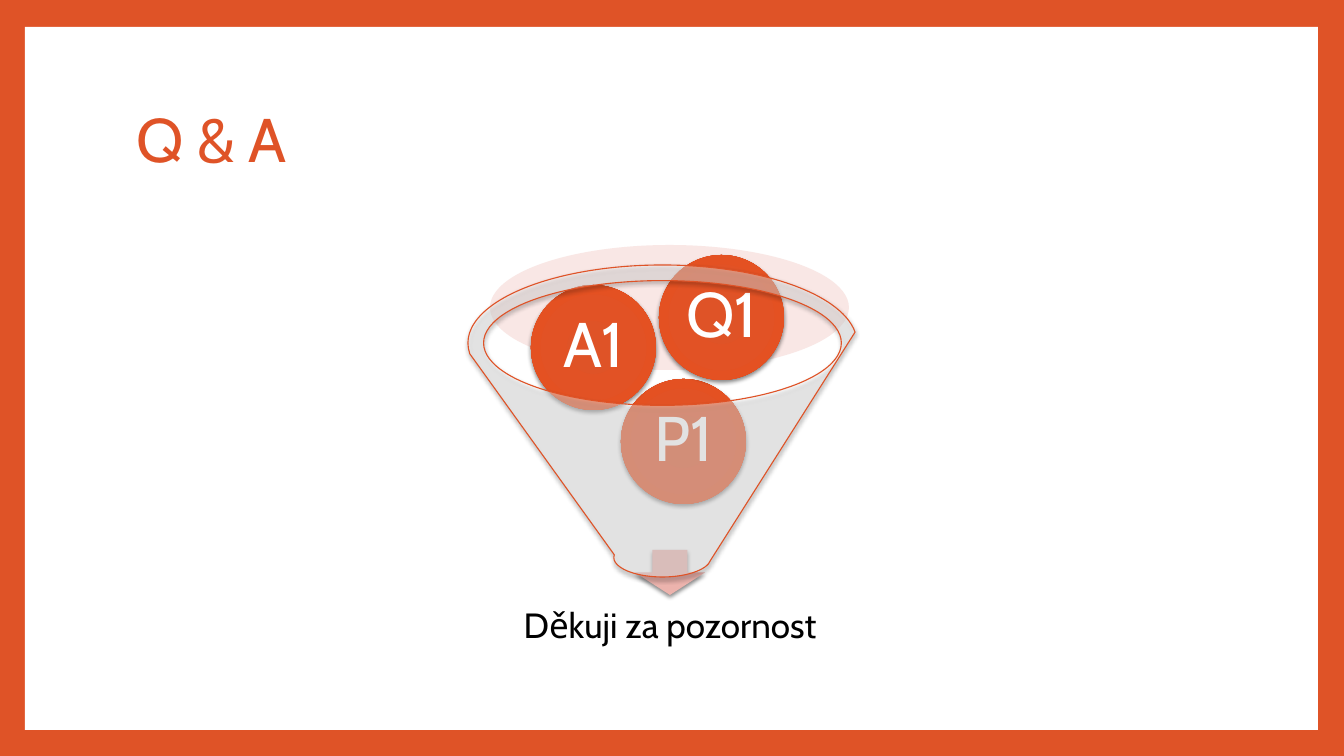
"""Builds the closing Q & A slide with a funnel diagram."""
from lxml import etree
from pptx import Presentation
from pptx.dml.color import RGBColor
from pptx.enum.shapes import MSO_SHAPE
from pptx.enum.text import MSO_ANCHOR, PP_ALIGN
from pptx.oxml import parse_xml
from pptx.oxml.ns import nsdecls, qn
from pptx.util import Emu, Pt

RECTANGLE, ELLIPSE = MSO_SHAPE.RECTANGLE, MSO_SHAPE.OVAL
ARROW, FUNNEL = MSO_SHAPE.DOWN_ARROW, MSO_SHAPE.FUNNEL
MIDDLE, LEFT, CENTER = MSO_ANCHOR.MIDDLE, PP_ALIGN.LEFT, PP_ALIGN.CENTER

TITLE = "Q & A"
CAPTION = "Děkuji za pozornost"
BALLS = [("P1", 621, 379), ("A1", 531, 285), ("Q1", 659, 255)]
BALL_SIZE = 125

COLORS = {
    "accent": "DF5327", "ball_mid": "E45122", "ball_edge": "DB4313",
    "rim": "F0C3BE", "arrow": "ECB3AD", "white": "FFFFFF", "black": "000000",
}
BALL_STOPS = [(0, "accent"), (90, "ball_mid"), (100, "ball_edge")]
FONT = "Cabin"
PIXEL = 914400 / 100.8


def px(*values):
    return [Emu(round(value * PIXEL)) for value in values]


def rgb(name):
    return RGBColor.from_string(COLORS[name])


def write(shape, text, size, color, align=CENTER, inset=0):
    frame = shape.text_frame
    frame.text = text
    frame.word_wrap = True
    frame.vertical_anchor = MIDDLE
    if inset:
        margin = px(inset)[0]
        frame.margin_left = frame.margin_right = margin
        frame.margin_top = frame.margin_bottom = margin
    para = frame.paragraphs[0]
    para.alignment = align
    para.line_spacing = 0.9
    font = para.runs[0].font
    font.name, font.size, font.color.rgb = FONT, Pt(size), rgb(color)


def add_part(page, kind, box, color, opacity=100, shadow=False):
    part = page.shapes.add_shape(kind, *px(*box))
    part.fill.solid()
    part.fill.fore_color.rgb = rgb(color)
    part.line.fill.background()
    part.shadow.inherit = False
    properties = part._element.spPr
    if opacity < 100:
        tint = properties.find(qn("a:solidFill"))[0]
        etree.SubElement(tint, qn("a:alpha"), val=str(opacity * 1000))
    if shadow:
        properties.find(qn("a:effectLst")).append(parse_xml(
            f'<a:outerShdw {nsdecls("a")} blurRad="{Pt(3)}" dist="{Pt(2)}" '
            'dir="5400000" rotWithShape="0"><a:srgbClr val="000000">'
            '<a:alpha val="45000"/></a:srgbClr></a:outerShdw>'))
    return part


def shade_ball(ball):
    stops = "".join(
        f'<a:gs pos="{place * 1000}"><a:srgbClr val="{COLORS[name]}"/></a:gs>'
        for place, name in BALL_STOPS)
    gradient = parse_xml(
        f'<a:gradFill {nsdecls("a")} rotWithShape="1"><a:gsLst>{stops}</a:gsLst>'
        '<a:path path="circle"><a:fillToRect l="100000" t="100000" '
        'r="100000" b="100000"/></a:path></a:gradFill>')
    properties = ball._element.spPr
    properties.replace(properties.find(qn("a:solidFill")), gradient)


deck = Presentation()
deck.slide_width, deck.slide_height = px(1344, 756)
page = deck.slides.add_slide(deck.slide_layouts[5])
page.background.fill.solid()
page.background.fill.fore_color.rgb = rgb("accent")

title = page.shapes.title
title.left, title.top, title.width, title.height = px(126, 68, 1089, 149)
write(title, TITLE, 44, "accent", LEFT)
panel = add_part(page, RECTANGLE, (25, 27, 1293, 703), "white")
title._element.addprevious(panel._element)

add_part(page, ELLIPSE, (490, 245, 359, 125), "rim", opacity=40)
add_part(page, ARROW, (635, 550, 70, 45), "arrow", shadow=True)
caption = page.shapes.add_textbox(*px(503, 586, 334, 83))
write(caption, CAPTION, 25, "black", inset=19)

for label, left, top in BALLS:
    ball = add_part(page, ELLIPSE, (left, top, BALL_SIZE, BALL_SIZE), "accent", shadow=True)
    shade_ball(ball)
    write(ball, label, 45, "white", inset=6)

funnel = add_part(page, FUNNEL, (468, 265, 389, 312), "white", opacity=40, shadow=True)
funnel.line.color.rgb = rgb("accent")
funnel.line.width = Pt(0.79)

deck.save("out.pptx")
